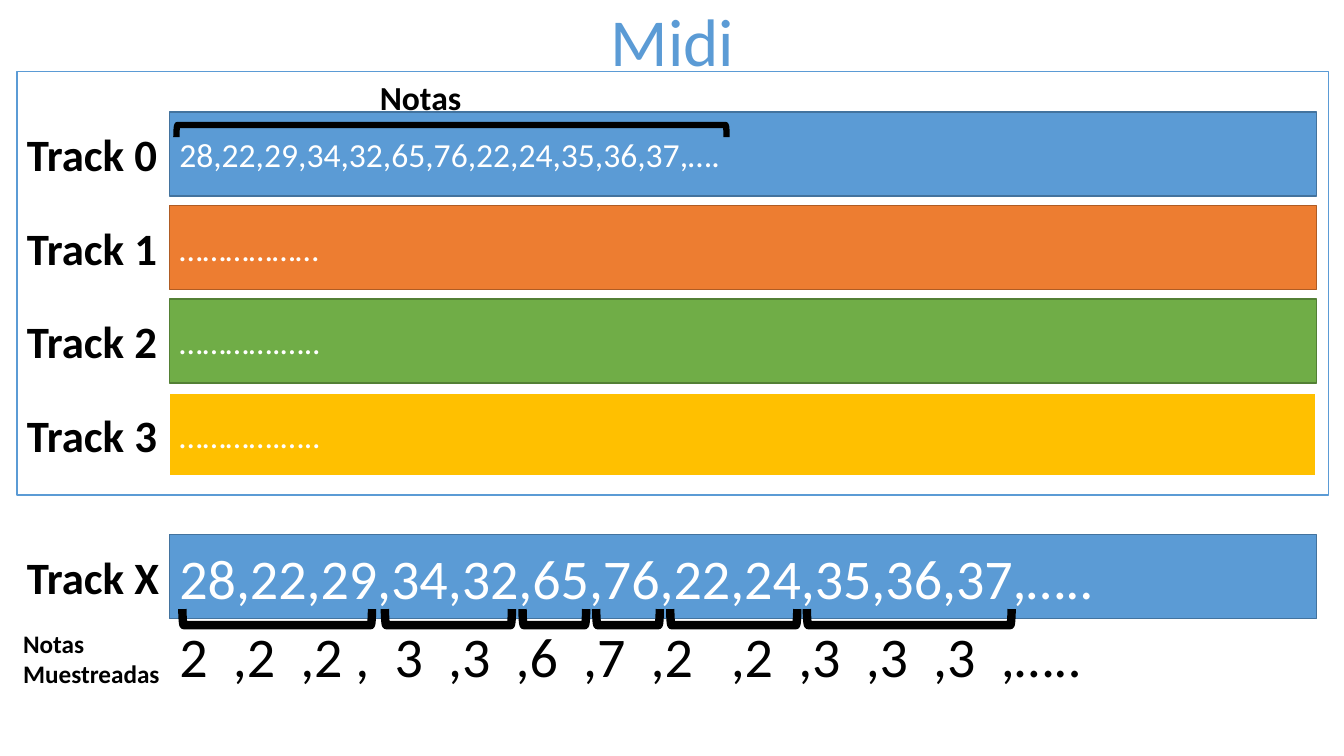
from lxml import etree
from pptx import Presentation, util as u
from pptx.dml.color import RGBColor
from pptx.enum import shapes as kinds, text as t
from pptx.oxml import ns

Pt = u.Pt
COLORS = {
    "blue": "5B9BD5", "blue_edge": "43739E",
    "orange": "ED7D31", "orange_edge": "AF5C24",
    "green": "70AD47", "green_edge": "538035",
    "yellow": "FFC000", "white": "FFFFFF", "black": "000000",
}

deck = Presentation()
deck.slide_width, deck.slide_height = Pt(960), Pt(540)
slide = deck.slides.add_slide(deck.slide_layouts[6])


def add_outline(kind, box, fill, edge, weight):
    part = slide.shapes.add_shape(kind, *map(Pt, box))
    part.shadow.inherit = False
    if fill:
        part.fill.solid()
        part.fill.fore_color.rgb = RGBColor.from_string(COLORS[fill])
    else:
        part.fill.background()
    part.line.color.rgb = RGBColor.from_string(COLORS[edge])
    part.line.width = Pt(weight)
    return part


def write(part, wording, size, color="black", bold=False, wrap=True):
    frame = part.text_frame
    frame.word_wrap = wrap
    line = frame.paragraphs[0]
    line.text = wording
    line.alignment = t.PP_ALIGN.LEFT
    line.font.name = "Calibri"
    line.font.size = Pt(size)
    line.font.bold = bold
    line.font.color.rgb = RGBColor.from_string(COLORS[color])
    return line


RECT = kinds.MSO_SHAPE.RECTANGLE
BRACKET = kinds.MSO_SHAPE.LEFT_BRACKET
NOTES = "28,22,29,34,32,65,76,22,24,35,36,37,…."
TRACK_TOP, TRACK_STEP = 80, 66.8
tracks = [
    ("Track 0", TRACK_TOP, NOTES, 24, "blue", "blue_edge", 1),
    ("Track 1", TRACK_TOP + TRACK_STEP, "………………", 24, "orange", "orange_edge", 1),
    ("Track 2", TRACK_TOP + 2 * TRACK_STEP, "………….…..", 24, "green", "green_edge", 1),
    ("Track 3", TRACK_TOP + 3 * TRACK_STEP, "………….…..", 24, "yellow", "white", 1.5),
    ("Track X", 382, NOTES + ".", 40, "blue", "blue_edge", 1),
]
for name, top, notes, size, fill, edge, weight in tracks:
    track = add_outline(RECT, (121, top, 819.4, 60), fill, edge, weight)
    track.text_frame.vertical_anchor = t.MSO_ANCHOR.MIDDLE
    write(track, notes, size, "white")
    label = slide.shapes.add_textbox(Pt(12.2), Pt(top + 7), Pt(112), Pt(46))
    write(label, name, 32, bold=True, wrap=False)
    label.text_frame.auto_size = t.MSO_AUTO_SIZE.NONE

group_spans = [(130.3, 135.4), (275, 90.7), (373.3, 45.4),
               (425.9, 45.4), (478.8, 90.7), (576.4, 146.2)]
brackets = [(left, span, 440.8, 11.5, 270, 6) for left, span in group_spans]
brackets.append((126, 393, 93.6, 8.6, 90, 4.5))
for left, span, middle, depth, turn, weight in brackets:
    box = (left + (span - depth) / 2, middle - span / 2, depth, span)
    add_outline(BRACKET, box, None, "black", weight).rotation = turn

captions = [
    ("Midi", (429.1, -4.3, 103.7, 65.5), 48, "blue", False, False),
    ("Notas", (264.2, 51.1, 73.4, 36), 24, "black", True, False),
    ("Notas Muestreadas", (9.4, 445, 130.3, 51), 18, "black", True, True),
]
for wording, box, size, color, bold, wrap in captions:
    write(slide.shapes.add_textbox(*map(Pt, box)), wording, size, color, bold, wrap)

samples = ["2", ",2", ",2", ",", "3", ",3", ",6", ",7", ",2", ",2", ",3", ",3", ",3", ",….."]
sample_stops = [38.2, 86.4, 125.7, 153.7, 192, 240.2, 288.4, 336.6,
                393.9, 442.1, 490.3, 538.5, 586.8]
sampled = slide.shapes.add_textbox(Pt(121), Pt(440.6), Pt(733.7), Pt(55.4))
sample_line = write(sampled, "\t".join(samples), 40)
tab_list = etree.Element(ns.qn("a:tabLst"))
for stop in sample_stops:
    etree.SubElement(tab_list, ns.qn("a:tab"), pos=str(Pt(stop)), algn="l")
sample_line._p.get_or_add_pPr().insert(0, tab_list)

add_outline(RECT, (12.2, 51.1, 936.7, 302.4), None, "blue", 1)

deck.save("out.pptx")
